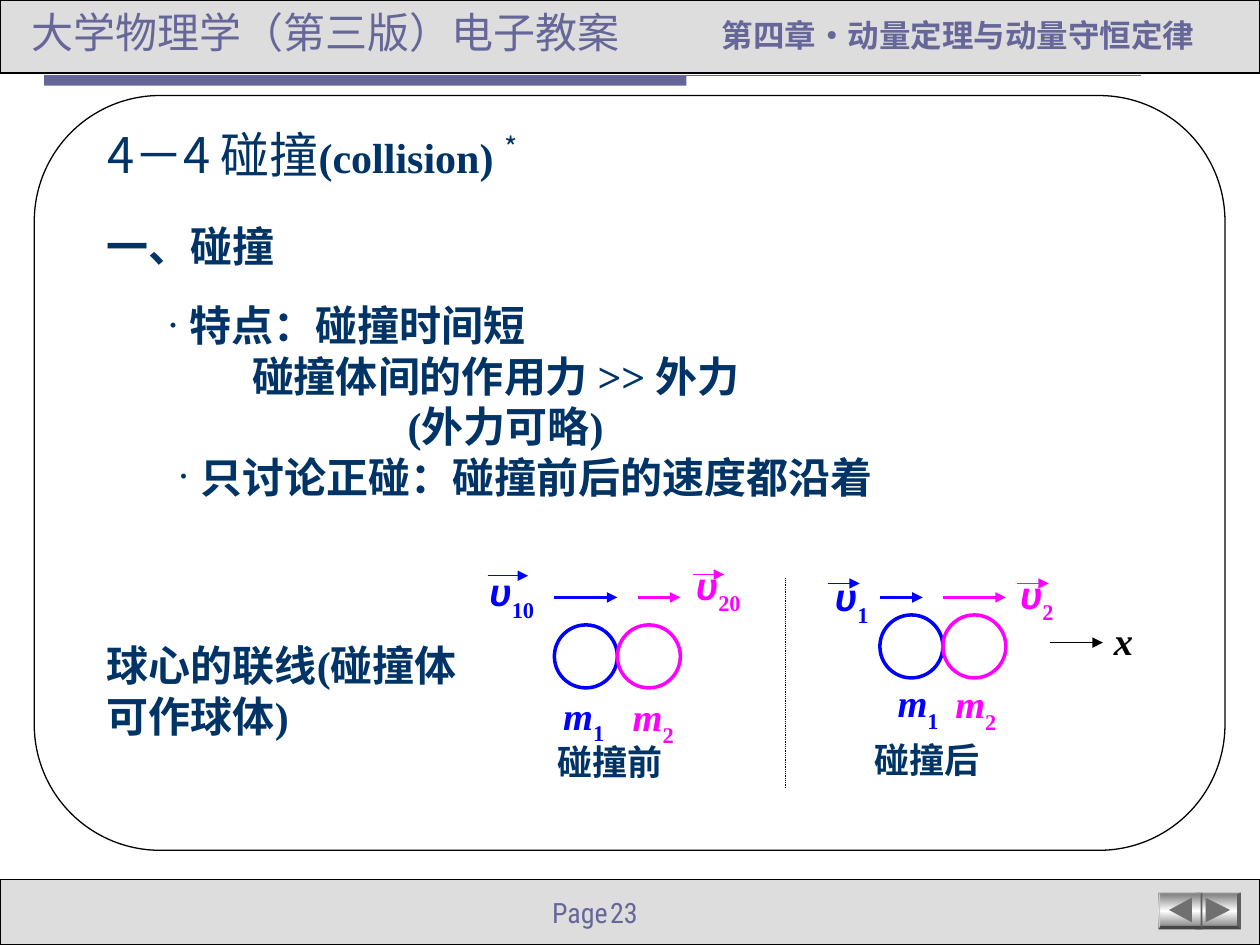
import dataclasses

import lxml.etree
import pptx
import pptx.dml.color
import pptx.enum.dml
import pptx.enum.shapes
import pptx.enum.text
import pptx.oxml.ns
import pptx.util

Pt = pptx.util.Pt
SHAPE = pptx.enum.shapes.MSO_SHAPE
ALIGN = pptx.enum.text.PP_ALIGN
NAVY, PURPLE, BLUE, PINK = "003366", "666699", "0000FF", "FF00FF"
SERIF, SANS, CJK, NARROW = "Times New Roman", "Arial", "Noto Sans CJK SC", "Roboto Condensed"


@dataclasses.dataclass
class Body:
    """One ball: offsets are from the left and top of its state's box."""
    number: str
    color: str
    arrow: tuple
    symbol: tuple
    bar: tuple
    subscript: str
    mass: tuple


def rgb(value):
    return pptx.dml.color.RGBColor.from_string(value)


def sub(parent, tag, **attributes):
    return lxml.etree.SubElement(parent, pptx.oxml.ns.qn(tag), **attributes)


def paint(shape, fill=None, line=None, width=0.75):
    shape.shadow.inherit = False
    if fill:
        shape.fill.solid()
        shape.fill.fore_color.rgb = rgb(fill)
    else:
        shape.fill.background()
    if line:
        shape.line.color.rgb = rgb(line)
        shape.line.width = Pt(width)
    else:
        shape.line.fill.background()
    return shape


def add_box(shapes, kind, box, *style):
    return paint(shapes.add_shape(kind, *map(Pt, box)), *style)


def add_line(shapes, start, end, color, width=0.75, arrow=True):
    line = shapes.add_connector(pptx.enum.shapes.MSO_CONNECTOR.STRAIGHT,
                                *map(Pt, (*start, *end)))
    line.line.color.rgb = rgb(color)
    line.line.width = Pt(width)
    if arrow:
        sub(line.element.spPr.find(pptx.oxml.ns.qn("a:ln")), "a:tailEnd", type="triangle")
    sub(line.element.spPr, "a:effectLst")
    return line


def add_polygon(shapes, points, fill):
    builder = shapes.build_freeform(*points[0], scale=Pt(1))
    builder.add_line_segments(points[1:], close=True)
    return paint(builder.convert_to_shape(), fill)


def add_span(para, text, size, font, color, bold=False, italic=False, baseline=0):
    span = para.add_run()
    span.text = text
    span.font.size = Pt(size)
    span.font.name = font
    span.font.bold = bold
    span.font.italic = italic
    span.font.color.rgb = rgb(color)
    if baseline:
        span.font._element.set("baseline", str(baseline * 1000))


def set_frame(shape, inset=(7.2, 3.6)):
    frame = shape.text_frame
    frame.word_wrap = True
    frame.margin_left = frame.margin_right = Pt(inset[0])
    frame.margin_top = frame.margin_bottom = Pt(inset[1])
    frame.vertical_anchor = pptx.enum.text.MSO_ANCHOR.TOP
    return frame


def add_text(shapes, box, spans, inset=(7.2, 3.6)):
    frame = set_frame(shapes.add_textbox(*map(Pt, box)), inset)
    para = frame.paragraphs[0]
    for span in spans:
        add_span(para, *span)
    return para


def place(shape, box):
    shape.left, shape.top, shape.width, shape.height = map(Pt, box)


def add_header(shapes, left, top, width, height):
    rule = top + height + 1.4
    add_line(shapes, (left + 25.2, rule), (left + 652, rule), PURPLE, arrow=False)
    add_box(shapes, SHAPE.RECTANGLE, (left + 25.2, rule, 367, 5.8), PURPLE)
    add_box(shapes, SHAPE.RECTANGLE, (left, top, width, height), "DDDDDD", "000000")
    course = add_text(shapes, (left, top, 405.4, 36),
                      [("大学物理学（第", 24, SANS, PURPLE), ("三", 24, CJK, PURPLE),
                       ("版）电子教案", 24, SANS, PURPLE)])
    course._p.get_or_add_pPr().set("marL", str(Pt(10.8)))
    chapter = add_text(shapes, (left + 405.4, top + 3.6, 306, 31),
                       [("第四章", 18, SANS, PURPLE, True), ("·", 18, CJK, PURPLE, True),
                        ("动量定理与动量守恒定律", 18, SANS, PURPLE, True)])
    chapter.line_spacing = 1.1


def add_button(shapes, left, top, width, height, forward):
    right, bottom, edge = left + width, top + height, 1.4
    outer = [(left, top), (right, top), (right, bottom), (left, bottom)]
    inner = [(left + edge, top + edge), (right - edge, top + edge),
             (right - edge, bottom - edge), (left + edge, bottom - edge)]
    face = add_polygon(shapes, outer, "BBBBBB")
    face.fill.gradient()
    face.fill.gradient_angle = 90
    stops = face.element.spPr.find(".//" + pptx.oxml.ns.qn("a:gsLst"))
    stops.clear()
    for position, color in ((0, "757575"), (50, "FFFFFF"), (100, "757575")):
        stop = sub(stops, "a:gs", pos=str(position * 1000))
        sub(stop, "a:srgbClr", val=color)
    for side, color in enumerate(("919191", "5E5E5E", "464646", "C8C8C8")):
        after = (side + 1) % 4
        add_polygon(shapes, [outer[side], outer[after], inner[after], inner[side]], color)
    tail, tip = (5.8, 19.4) if forward else (19.4, 5.8)
    add_polygon(shapes, [(left + tail, top + 3.8), (left + tip, top + height / 2),
                         (left + tail, bottom - 3.8)], "707070")


def add_footer(shapes, left, top, width, height):
    add_box(shapes, SHAPE.RECTANGLE, (left, top, width, height), "DDDDDD", "000000")
    for text, x, box_width in (("Page", 297.4, 56.9), ("23", 329, 42.5)):
        para = add_text(shapes, (left + x, top + 5.8, box_width, 16),
                        [(text, 16, NARROW, PURPLE)])
        para.alignment = ALIGN.RIGHT
    add_button(shapes, left + 683.2, top + 7, 25.4, 21.2, True)
    add_button(shapes, left + 661.8, top + 7, 25.4, 21.2, False)


def add_frame(shapes, *box):
    frame = add_box(shapes, SHAPE.ROUNDED_RECTANGLE, box, "FFFFFF", "000000")
    color = frame.element.spPr.find(pptx.oxml.ns.qn("a:solidFill"))[0]
    sub(color, "a:alpha", val="95000")


def fill_title(title, *box):
    place(title, box)
    para = set_frame(title).paragraphs[0]
    para.alignment = ALIGN.LEFT
    para.line_spacing = 0.9
    for span in (("4－4", 28, CJK, NAVY), (" ", 24, SERIF, NAVY, True),
                 ("碰撞", 28, CJK, NAVY), ("(collision) ", 24, SERIF, NAVY, True),
                 ("*", 28, CJK, NAVY, False, False, 30)):
        add_span(para, *span)


def fill_features(body, *box):
    place(body, box)
    frame = set_frame(body)
    lines = (("特点：碰撞时间短", 13.5, True), ("碰撞体间的作用力 >> 外力", 49, False),
             ("(外力可略)", 138, False), ("只讨论正碰：碰撞前后的速度都沿着", 19.5, True))
    for index, (text, margin, bullet) in enumerate(lines):
        para = frame.add_paragraph() if index else frame.paragraphs[0]
        para.space_before = Pt(0)
        properties = para._p.get_or_add_pPr()
        properties.set("marL", str(Pt(margin)))
        properties.set("indent", str(Pt(-13.5 if bullet else 0)))
        if bullet:
            sub(properties, "a:buFont", typeface=SERIF)
            sub(properties, "a:buChar", char="·")
        else:
            sub(properties, "a:buNone")
        add_span(para, text, 24, SERIF, NAVY, True)


def add_state(shapes, left, top, ball_top, bodies, caption, caption_at):
    def label(at, width, *spans):
        add_text(shapes, (left + at[0], top + at[1], width, 32), spans, (0.72, 0.72))

    for index, body in enumerate(bodies):
        add_box(shapes, SHAPE.OVAL, (left + 36 * index, top + ball_top, 36, 36),
                None, body.color, 2)
        for (start, end, y), width in ((body.arrow, 2), (body.bar, 0.75)):
            add_line(shapes, (left + start, top + y), (left + end, top + y), body.color, width)
        for symbol, font, at, subscript in (("υ", SANS, body.symbol, body.subscript),
                                            ("m", SERIF, body.mass, body.number)):
            label(at, 37, (symbol, 22, font, body.color, True, True),
                  (subscript, 22, SERIF, body.color, True, False, -30))
    label(caption_at, 76, (caption, 20, SERIF, NAVY, True))


def add_diagram(shapes, left, top):
    before = (Body("1", BLUE, (0, 36, 21), (-38, 3.6), (-38, -15, 8.6), "10", (4.3, 74.2)),
              Body("2", PINK, (48, 72, 21), (80, 0), (79, 97, 7.9), "20", (44, 75)))
    after = (Body("1", BLUE, (0, 24.5, 21), (-26.6, 6.5), (-29.5, -11.5, 13), "1", (9.4, 67)),
             Body("2", PINK, (36, 72, 21), (79.2, 5), (78.5, 96.5, 13), "2", (42.4, 67.7)))
    add_state(shapes, left + 38, top, 36.7, before, "碰撞前", (1, 102))
    add_state(shapes, left + 224, top, 31, after, "碰撞后", (-3.6, 100.8))
    divider = add_line(shapes, (left + 170, top + 10), (left + 170, top + 130),
                       "000000", 0.5, False)
    divider.line.dash_style = pptx.enum.dml.MSO_LINE.ROUND_DOT
    add_line(shapes, (left + 321, top + 46.8), (left + 351.4, top + 46.8), "000000")
    add_text(shapes, (left + 357, top + 31.7, 19, 34),
             [("x", 22, SERIF, "000000", True, True)], (0.72, 0.72))


def main():
    deck = pptx.Presentation()
    deck.slide_width, deck.slide_height = Pt(720), Pt(540)
    page = deck.slides.add_slide(deck.slide_layouts[1])
    shapes = page.shapes
    title, body = page.placeholders
    add_frame(shapes, 19.6, 54.6, 680.4, 431.3)
    add_header(shapes, 0, 0, 720, 41.8)
    add_footer(shapes, 0, 502.6, 720, 37.4)
    for placeholder in (title, body):
        shapes.element.append(placeholder.element)
    fill_title(title, 54, 71.3, 374.4, 37.4)
    fill_features(body, 87.8, 167.8, 544.3, 151.2)
    add_text(shapes, (54, 122.4, 116, 36), [("一、碰撞", 24, CJK, NAVY, True)])
    add_diagram(shapes.add_group_shape().shapes, 278.8, 320.4)
    add_text(shapes, (54, 362, 215.3, 65), [("球心的联线(碰撞体可作球体)", 24, SERIF, NAVY, True)])
    deck.save("out.pptx")


if __name__ == "__main__":
    main()
